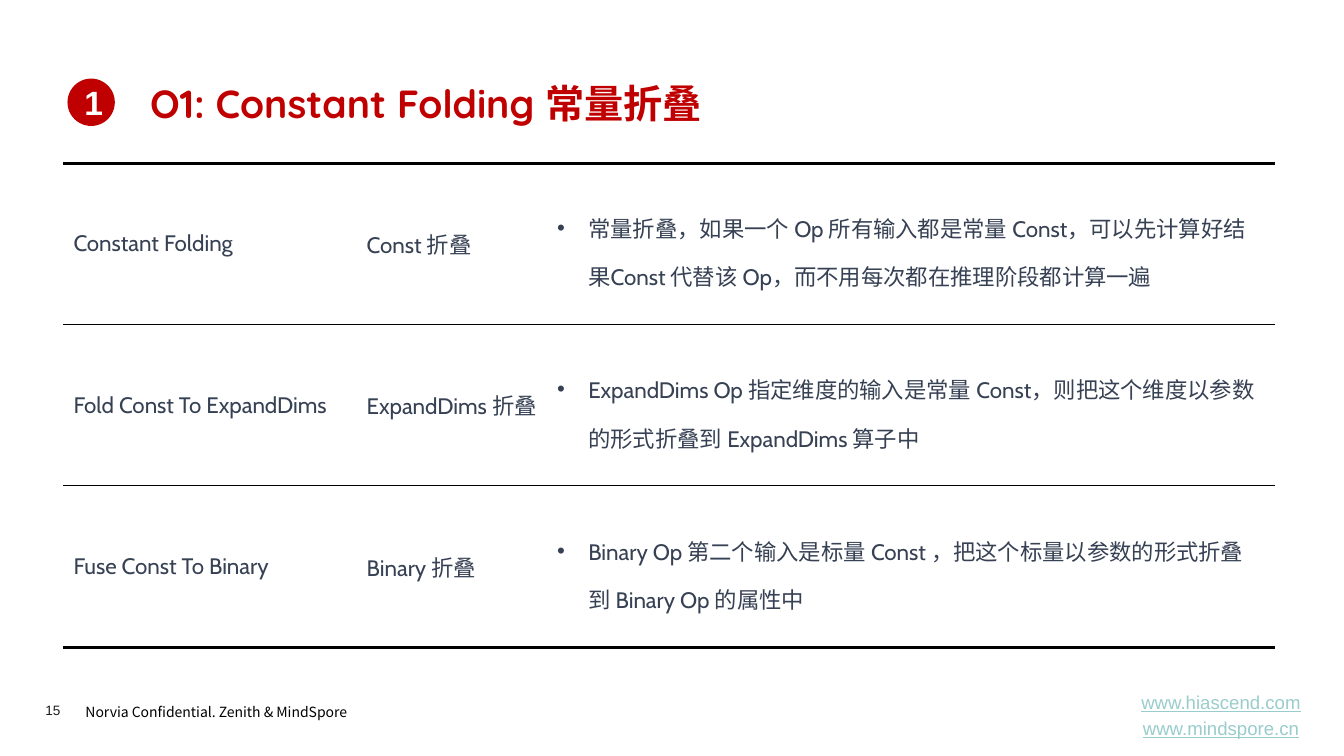
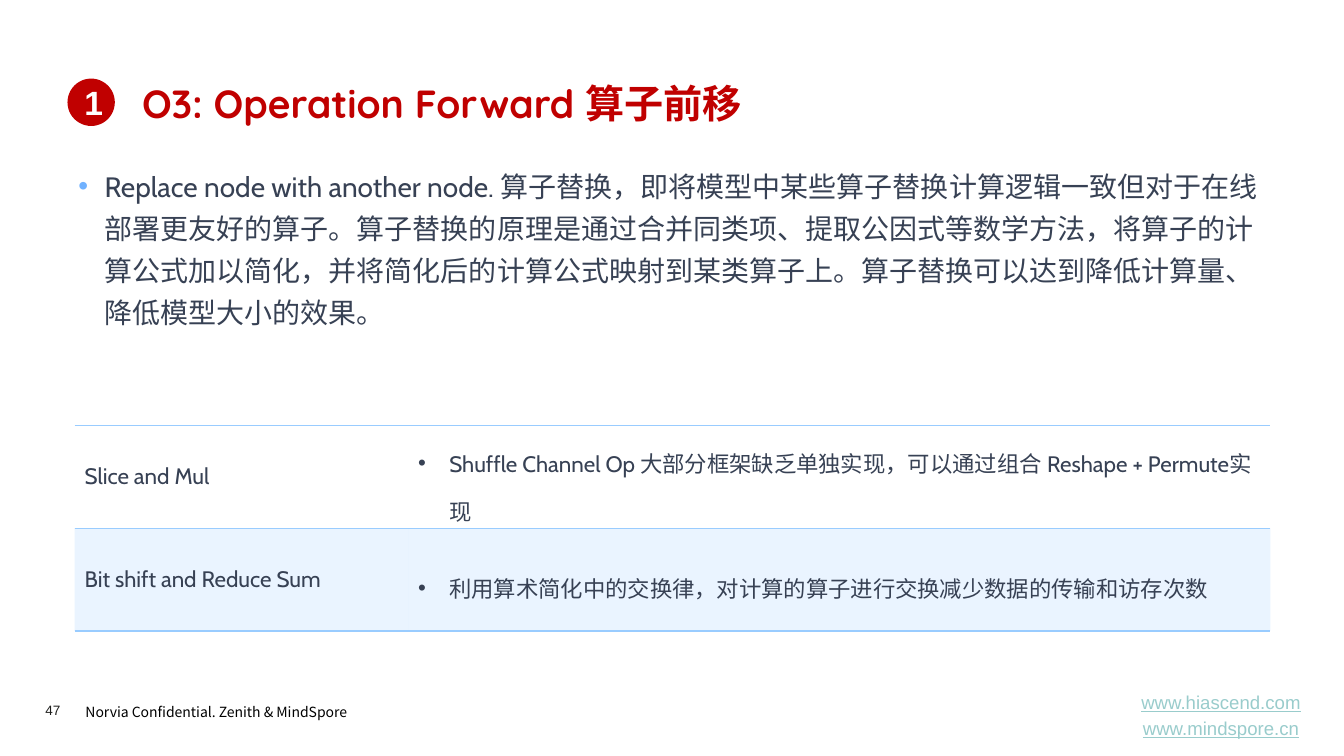
from lxml.etree import SubElement
from pptx import Presentation
from pptx.dml.color import RGBColor
from pptx.enum.shapes import MSO_SHAPE
from pptx.enum.text import MSO_ANCHOR, MSO_AUTO_SIZE, PP_ALIGN
from pptx.oxml import parse_xml
from pptx.oxml.ns import nsdecls, qn
from pptx.util import Inches, Pt

RED = RGBColor(0xC0, 0x00, 0x00)
SLATE = RGBColor(0x37, 0x41, 0x54)
BLACK = RGBColor(0x00, 0x00, 0x00)
WHITE = RGBColor(0xFF, 0xFF, 0xFF)
INK = RGBColor(0x1D, 0x1D, 0x1B)
TEAL = RGBColor(0x99, 0xCC, 0xCC)
SKY = RGBColor(0x99, 0xCC, 0xFF)
BULLET_BLUE = RGBColor(0x71, 0xB2, 0xFF)

CJK_FONT = "Noto Sans CJK SC"
PLAIN_TABLE_STYLE = "{2D5ABB26-0587-4C30-8999-92F81FD0307C}"


def style_paragraph(paragraph, size, face, color, bold=False):
    font = paragraph.font
    font.size = Pt(size)
    font.name = face
    font.bold = bold
    font.color.rgb = color
    defaults = paragraph._p.pPr.find(qn("a:defRPr"))
    SubElement(defaults, qn("a:ea")).set("typeface", CJK_FONT)


def add_bullet(paragraph, indent, spacing, color=None):
    paragraph.line_spacing = spacing
    properties = paragraph._p.get_or_add_pPr()
    properties.set("marL", str(Inches(indent)))
    properties.set("indent", str(-Inches(indent)))
    if color is not None:
        bullet_color = SubElement(properties, qn("a:buClr"))
        SubElement(bullet_color, qn("a:srgbClr")).set("val", str(color))
    SubElement(properties, qn("a:buFont")).set("typeface", "Arial")
    SubElement(properties, qn("a:buChar")).set("char", "•")


def add_text_frame(slide, left, top, width, height):
    box = slide.shapes.add_textbox(
        Inches(left), Inches(top), Inches(width), Inches(height))
    box.text_frame.word_wrap = True
    return box.text_frame


def add_title(slide, text, left):
    title = slide.shapes.title
    title.left, title.top = Inches(left), Inches(0.74)
    title.width, title.height = Inches(12.67 - left), Inches(0.64)
    frame = title.text_frame
    frame.text = text
    frame.auto_size = MSO_AUTO_SIZE.NONE
    frame.vertical_anchor = MSO_ANCHOR.TOP
    heading = frame.paragraphs[0]
    heading.alignment = PP_ALIGN.LEFT
    style_paragraph(heading, 28, "Quicksand", RED, bold=True)


def add_badge(slide, number):
    badge = slide.shapes.add_shape(
        MSO_SHAPE.OVAL, Inches(0.67), Inches(0.78), Inches(0.47), Inches(0.47))
    badge.shadow.inherit = False
    badge.fill.solid()
    badge.fill.fore_color.rgb = RED
    badge.line.fill.background()
    frame = badge.text_frame
    frame.text = number
    frame.vertical_anchor = MSO_ANCHOR.MIDDLE
    frame.paragraphs[0].alignment = PP_ALIGN.CENTER
    style_paragraph(frame.paragraphs[0], 24, "Arial", WHITE, bold=True)


def add_footer(slide, page):
    notice = add_text_frame(slide, 0.75, 6.9, 3.13, 0.29)
    notice.text = "Norvia Confidential. Zenith & MindSpore"
    notice.paragraphs[0].line_spacing = 1.2
    style_paragraph(notice.paragraphs[0], 10, CJK_FONT, BLACK)

    page_number = add_text_frame(slide, 0.45, 6.96, 0.55, 0.16)
    page_number.margin_left = page_number.margin_right = 0
    page_number.margin_top = page_number.margin_bottom = 0
    page_number.text = page
    style_paragraph(page_number.paragraphs[0], 9.7, "Arial", INK)

    sites = add_text_frame(slide, 11.04, 6.88, 2.16, 0.43)
    sites.vertical_anchor = MSO_ANCHOR.MIDDLE
    sites.text = "www.hiascend.com\nwww.mindspore.cn"
    for site in sites.paragraphs:
        site.alignment = PP_ALIGN.CENTER
        style_paragraph(site, 13.3, "Arial", TEAL)
        site.font.underline = True
    sites.paragraphs[1].space_before = Pt(2.7)


def add_titled_slide(deck, title, title_left, page):
    slide = deck.slides.add_slide(deck.slide_layouts[5])
    add_title(slide, title, title_left)
    add_badge(slide, "1")
    add_footer(slide, page)
    return slide


def fill_cell(cell, color, alpha=None):
    if color is None:
        cell.fill.background()
        return
    cell.fill.solid()
    cell.fill.fore_color.rgb = color
    if alpha is not None:
        shade = cell._tc.tcPr.find(qn("a:solidFill")).find(qn("a:srgbClr"))
        SubElement(shade, qn("a:alpha")).set("val", str(alpha * 1000))


def rule_cell(cell, color, top_width, bottom_width):
    edges = (("lnT", top_width), ("lnB", bottom_width))
    for position, (edge, width) in enumerate(edges):
        cell._tc.get_or_add_tcPr().insert(position, parse_xml(
            f'<a:{edge} {nsdecls("a")} w="{Pt(width)}"><a:solidFill>'
            f'<a:srgbClr val="{color}"/></a:solidFill></a:{edge}>'))


def add_ruled_table(slide, left, top, columns, row_height, rows,
                    rule_color, outer_width, row_fills):
    frame = slide.shapes.add_table(
        len(rows), len(columns), Inches(left), Inches(top),
        Inches(sum(columns)), Inches(row_height * len(rows)))
    table = frame.table
    table.first_row = table.horz_banding = False
    table._tbl.tblPr.find(qn("a:tableStyleId")).text = PLAIN_TABLE_STYLE
    for column, width in zip(table.columns, columns):
        column.width = Inches(width)

    last_row, last_column = len(rows) - 1, len(columns) - 1
    for r, texts in enumerate(rows):
        table.rows[r].height = Inches(row_height)
        for c, text in enumerate(texts):
            cell = table.cell(r, c)
            cell.text = text
            cell.vertical_anchor = MSO_ANCHOR.MIDDLE
            paragraph = cell.text_frame.paragraphs[0]
            if c == last_column:
                add_bullet(paragraph, 0.31, 1.5)
            style_paragraph(paragraph, 16, "Cabin", SLATE)
            fill_cell(cell, *row_fills[r])
            rule_cell(cell, rule_color,
                      outer_width if r == 0 else 1,
                      outer_width if r == last_row else 1)


def build_constant_folding(deck):
    slide = add_titled_slide(deck, "O1: Constant Folding 常量折叠", 1.39, "15")
    rows = [
        ("Constant Folding", "Const 折叠",
         "常量折叠，如果一个 Op 所有输入都是常量 Const，可以先计算好结果Const 代替该 Op，"
         "而不用每次都在推理阶段都计算一遍"),
        ("Fold Const To ExpandDims", "ExpandDims 折叠",
         "ExpandDims Op 指定维度的输入是常量 Const，则把这个维度以参数的形式折叠到 "
         "ExpandDims 算子中"),
        ("Fuse Const To Binary", "Binary 折叠",
         "Binary Op 第二个输入是标量 Const ，把这个标量以参数的形式折叠到 Binary Op 的属性中"),
    ]
    add_ruled_table(slide, 0.63, 1.62, (2.91, 1.89, 7.23), 1.6, rows,
                    BLACK, 2.25, [(WHITE,)] * len(rows))


def build_operation_forward(deck):
    slide = add_titled_slide(deck, "O3: Operation Forward 算子前移", 1.31, "47")
    summary = add_text_frame(slide, 0.68, 1.55, 11.99, 2.5)
    summary.text = (
        "Replace node with another node. 算子替换，即将模型中某些算子替换计算逻辑一致但对于"
        "在线部署更友好的算子。算子替换的原理是通过合并同类项、提取公因式等数学方法，"
        "将算子的计算公式加以简化，并将简化后的计算公式映射到某类算子上。"
        "算子替换可以达到降低计算量、降低模型大小的效果。")
    add_bullet(summary.paragraphs[0], 0.26, 1.25, BULLET_BLUE)
    style_paragraph(summary.paragraphs[0], 20, "Cabin", SLATE)

    rows = [
        ("Slice and Mul",
         "Shuffle Channel Op 大部分框架缺乏单独实现，可以通过组合 Reshape + Permute实现"),
        ("Bit shift and Reduce Sum",
         "利用算术简化中的交换律，对计算的算子进行交换减少数据的传输和访存次数"),
    ]
    add_ruled_table(slide, 0.74, 4.22, (3.31, 8.56), 1.02, rows,
                    SKY, 1, [(None,), (SKY, 20)])


def main():
    deck = Presentation()
    deck.slide_width, deck.slide_height = Inches(13.34), Inches(7.5)
    build_constant_folding(deck)
    build_operation_forward(deck)
    deck.save("out.pptx")


if __name__ == "__main__":
    main()
